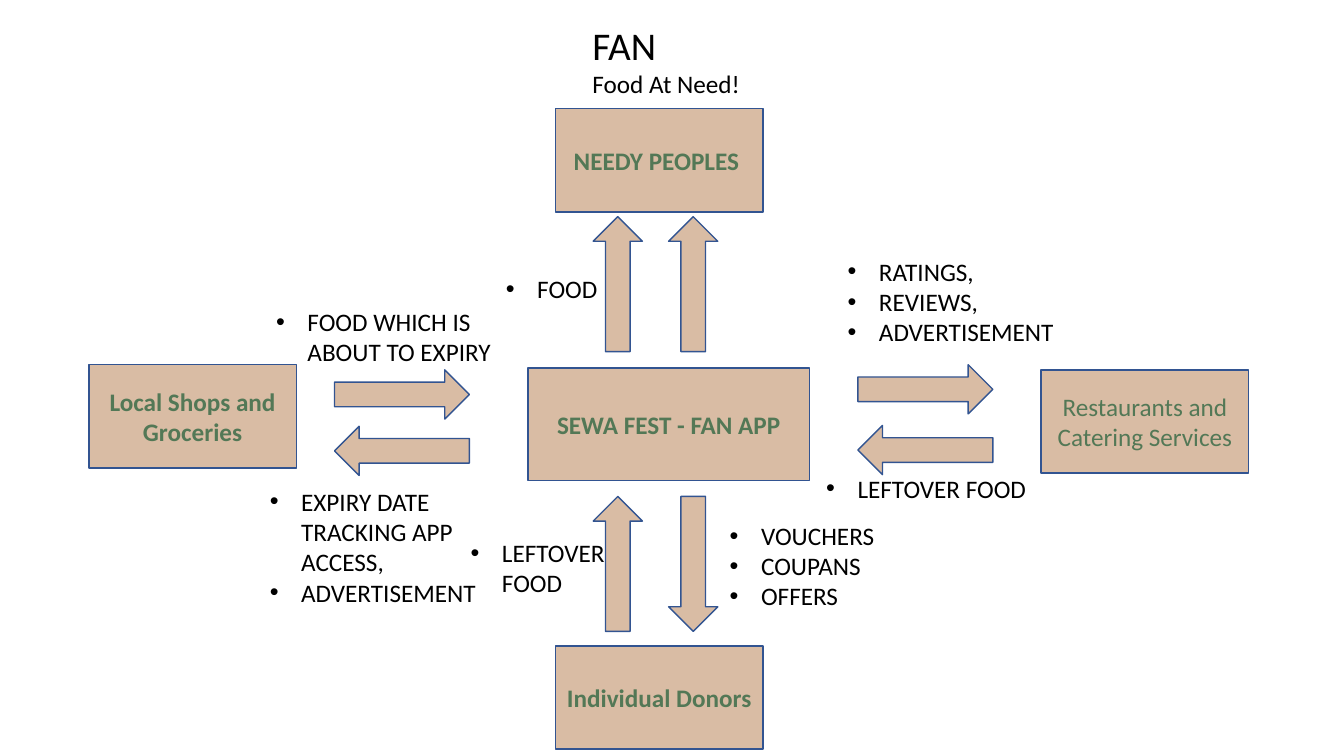
from dataclasses import dataclass

from lxml.etree import SubElement
from pptx import Presentation
from pptx.dml.color import RGBColor as RGB
from pptx.enum.shapes import MSO_SHAPE as Shape
from pptx.enum.text import MSO_ANCHOR as Anchor, MSO_AUTO_SIZE as Fit, PP_ALIGN as Align
from pptx.oxml.ns import qn
from pptx.util import Cm, Pt


@dataclass(frozen=True)
class Theme:
    font: str = "Calibri"
    ink: str = "000000"
    label: str = "537856"
    fill: str = "D9BCA4"
    edge: str = "325491"
    big: int = 28
    size: int = 18


def write(para, text, font, size, color, bold=False, align=Align.LEFT):
    """Add one formatted run to a paragraph."""
    para.alignment = align
    para.line_spacing = 1.0
    para.space_before = para.space_after = Pt(0)
    run = para.add_run()
    run.text = text
    face = run.font
    face.name, face.size, face.bold = font, Pt(size), bold
    face.color.rgb = RGB.from_string(color)


def place(item, x, y, w, h):
    item.left, item.top, item.width, item.height = map(Cm, (x, y, w, h))


class Board:
    def __init__(self, slide, theme):
        self.slide, self.theme = slide, theme
        self.slots = iter([p for p in slide.placeholders if p.placeholder_format.idx in range(1, 5)])

    def frame(self, item):
        frame = item.text_frame
        frame.word_wrap, frame.auto_size = True, Fit.NONE
        frame.vertical_anchor = Anchor.TOP
        frame.margin_left = frame.margin_right = Cm(0.25)
        frame.margin_top = frame.margin_bottom = Cm(0.13)
        return frame

    def lines(self, frame, rows):
        for i, (text, size) in enumerate(rows):
            para = frame.add_paragraph() if i else frame.paragraphs[0]
            write(para, text, self.theme.font, size, self.theme.ink)

    def title(self, x, y, w, h, rows):
        item = self.slide.shapes.title
        place(item, x, y, w, h)
        self.lines(self.frame(item), rows)

    def bullets(self, x, y, w, h, *rows):
        """Fill the next body placeholder, or a text box once they run out."""
        item = next(self.slots, None) or self.slide.shapes.add_textbox(0, 0, 0, 0)
        place(item, x, y, w, h)
        frame = self.frame(item)
        self.lines(frame, [(row, self.theme.size) for row in rows])
        for para in frame.paragraphs:
            props = para._p.get_or_add_pPr()
            props.set("marL", str(Cm(0.79)))
            props.set("indent", str(-Cm(0.79)))
            SubElement(props, qn("a:buFont")).set("typeface", "Arial")
            SubElement(props, qn("a:buChar")).set("char", "•")

    def solid(self, kind, x, y, w, h):
        item = self.slide.shapes.add_shape(kind, *map(Cm, (x, y, w, h)))
        item.shadow.inherit = False
        item.fill.solid()
        item.fill.fore_color.rgb = RGB.from_string(self.theme.fill)
        item.line.color.rgb = RGB.from_string(self.theme.edge)
        item.line.width = Pt(1)
        return item

    def box(self, text, x, y, w=5.23, h=2.6, bold=True):
        frame = self.frame(self.solid(Shape.RECTANGLE, x, y, w, h))
        frame.vertical_anchor = Anchor.MIDDLE
        look = self.theme
        write(frame.paragraphs[0], text, look.font, look.size, look.label,
              bold=bold, align=Align.CENTER)

    def arrow(self, x, y, turn=0):
        self.solid(Shape.RIGHT_ARROW, x, y, 3.4, 1.24).rotation = turn


def main():
    deck = Presentation()
    deck.slide_width, deck.slide_height = Cm(33.87), Cm(19.05)
    look = Theme()
    board = Board(deck.slides.add_slide(deck.slide_layouts[4]), look)

    # Heading
    board.title(14.68, 0.41, 8, 2.24, [("FAN", look.big), ("Food At Need!", look.size)])

    # App and the parties around it
    board.box("SEWA FEST - FAN APP", 13.31, 9.27, 7.09, 2.84)
    board.box("Restaurants and Catering Services", 26.24, 9.32, bold=False)
    board.box("Individual Donors", 14, 16.28)
    board.box("Local Shops and Groceries", 2.24, 9.19)
    board.box("NEEDY PEOPLES ", 14, 2.74)

    # Flows: right and left, then up and down
    for x, out, back in ((21.62, 9.19, 10.72), (8.43, 9.32, 10.74)):
        board.arrow(x, out)
        board.arrow(x, back, turn=180)
    for y, turn in ((6.54, 270), (13.59, 90)):
        board.arrow(13.87, y, turn=270)
        board.arrow(15.77, y, turn=turn)

    # What each flow carries
    board.bullets(21.11, 6.32, 6.02, 2.57, "RATINGS,", "REVIEWS,", "ADVERTISEMENT")
    board.bullets(20.57, 11.79, 6.73, 1.02, "LEFTOVER FOOD")
    board.bullets(11.61, 13.41, 5.23, 1.8, "LEFTOVER FOOD")
    board.bullets(18.14, 12.98, 5.23, 2.57, "VOUCHERS", "COUPANS", "OFFERS")
    board.bullets(6.71, 7.59, 6.45, 1.8, "FOOD WHICH IS ABOUT TO EXPIRY")
    board.bullets(6.55, 12.12, 5.94, 4.11, "EXPIRY DATE TRACKING APP ACCESS,", "ADVERTISEMENT")
    board.bullets(12.5, 6.76, 6.73, 1.02, "FOOD")

    deck.save("out.pptx")


if __name__ == "__main__":
    main()
